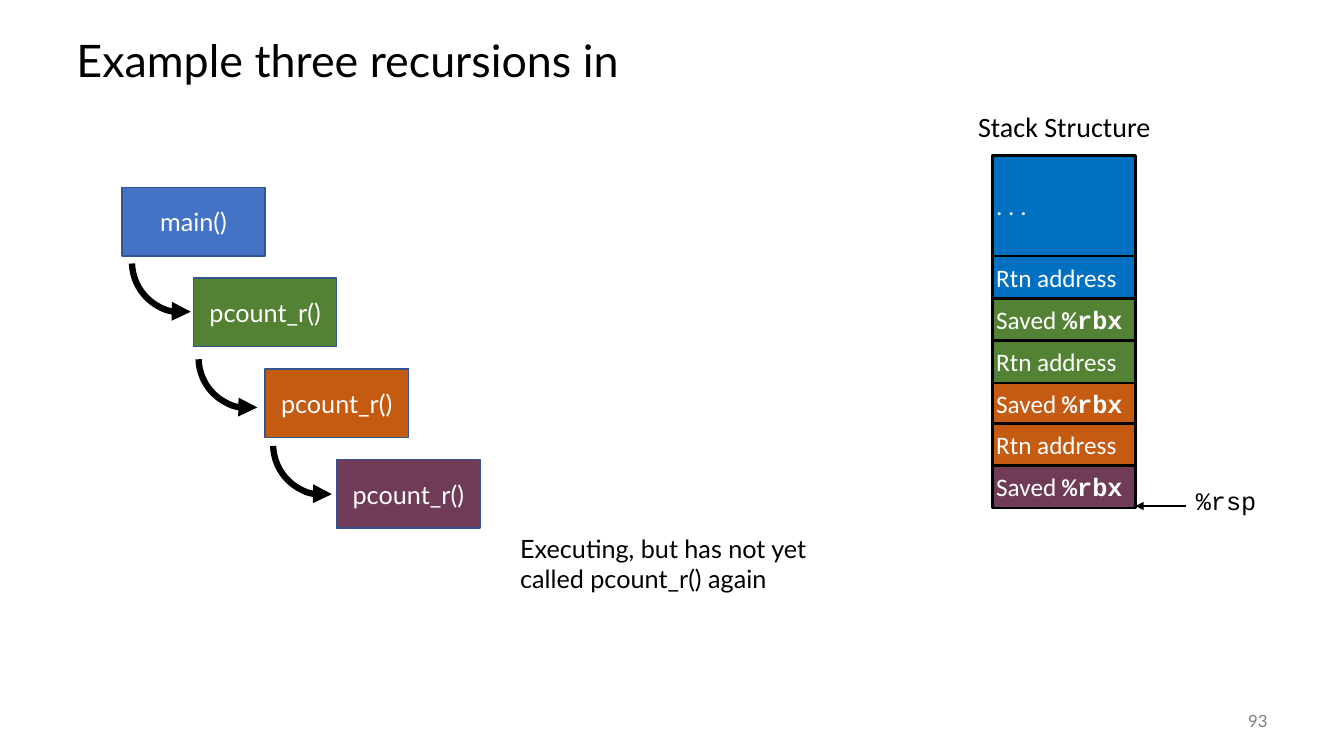
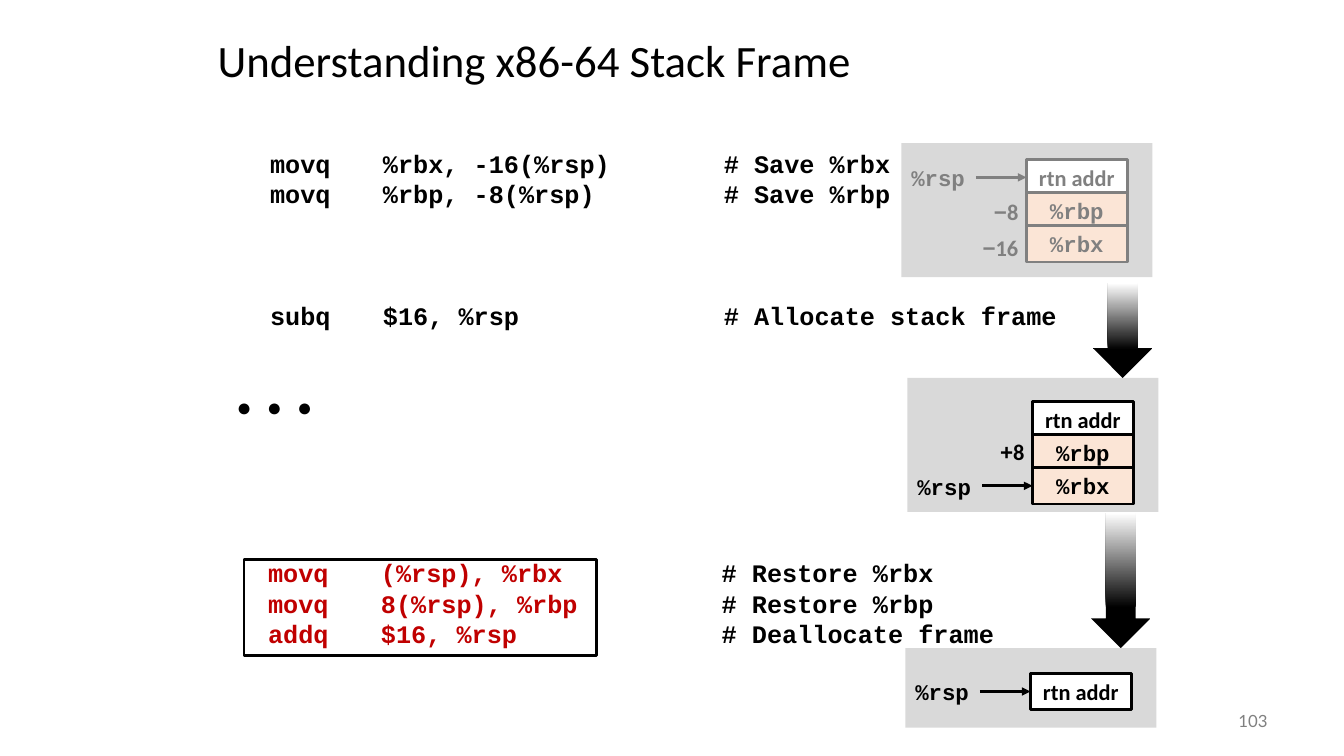
from dataclasses import dataclass

from lxml import etree
from pptx import Presentation
from pptx import util as u
from pptx.dml.color import RGBColor
from pptx.enum import shapes, text
from pptx.oxml import ns

PX = u.Inches(0.01)


@dataclass(frozen=True)
class Theme:
    black: str = "000000"
    white: str = "FFFFFF"
    gray: str = "808080"
    panel: str = "D9D9D9"
    peach: str = "FBE5D6"
    red: str = "C00000"
    main: str = "4472C4"
    edge: str = "325491"
    caller: str = "0070C0"
    green: str = "548235"
    orange: str = "C55A11"
    plum: str = "703B56"
    sans: str = "Lato"
    label: str = "Calibri"
    sign: str = "Arial"
    mono: str = "Courier New"
    title_size: int = 32
    heading_size: int = 20
    body_size: int = 18
    small_size: int = 16
    number_size: int = 12


@dataclass(frozen=True)
class Box:
    left: int
    top: int
    width: int
    height: int

    def at(self, left, top, width, height):
        return Box(self.left + left, self.top + top, width, height)

    def emu(self):
        return [value * PX for value in (self.left, self.top, self.width, self.height)]


THEME = Theme()
LEFT, CENTER, RIGHT = text.PP_ALIGN.LEFT, text.PP_ALIGN.CENTER, text.PP_ALIGN.RIGHT
TOP, MIDDLE = text.MSO_ANCHOR.TOP, text.MSO_ANCHOR.MIDDLE
BODY = dict(name=THEME.sans, size=u.Pt(THEME.body_size), bold=False, color=THEME.black)
TITLE = BODY | dict(size=u.Pt(THEME.title_size))
NUMBER = BODY | dict(size=u.Pt(THEME.number_size), color=THEME.gray)
HEADING = BODY | dict(name=THEME.label, size=u.Pt(THEME.heading_size))
STEP = BODY | dict(color=THEME.white)
STACK = STEP | dict(name=THEME.label)
REGISTER = STACK | dict(name=THEME.mono, bold=True)
POINTER = BODY | dict(name=THEME.mono)
CODE = POINTER | dict(bold=True)
RED_CODE = CODE | dict(color=THEME.red)
SMALL_CODE = CODE | dict(size=u.Pt(THEME.small_size))
SMALL_LABEL = SMALL_CODE | dict(name=THEME.label)
SMALL_SIGN = SMALL_CODE | dict(name=THEME.sign)
TIGHT = (4, 4, 4, 4)
CODE_LINE = 21.7
CODE_TABS = (50, 162, 500)


def set_values(target, values):
    for name, value in values.items():
        setattr(target, name, value)


def add_runs(paragraph, runs):
    for content, style in runs:
        run = paragraph.add_run()
        run.text = content
        set_values(run.font, {key: value for key, value in style.items() if key != "color"})
        run.font.color.rgb = RGBColor.from_string(style["color"])


def set_text(shape, runs, align=LEFT, anchor=TOP, insets=(10, 5, 10, 5), wrap=True):
    sides = ("margin_left", "margin_top", "margin_right", "margin_bottom")
    frame = shape.text_frame
    set_values(frame, dict(word_wrap=wrap, vertical_anchor=anchor))
    set_values(frame, {side: inset * PX for side, inset in zip(sides, insets)})
    paragraph = frame.paragraphs[0]
    paragraph.alignment = align
    add_runs(paragraph, runs)
    return paragraph


def add_label(slide, box, runs, **layout):
    shape = slide.shapes.add_textbox(*box.emu())
    set_text(shape, runs, **layout)
    return shape


def set_line(shape, color, width):
    shape.line.color.rgb = RGBColor.from_string(color)
    shape.line.width = u.Pt(width)


def add_block(slide, box, fill=None, line=None, width=2, kind=shapes.MSO_SHAPE.RECTANGLE):
    shape = slide.shapes.add_shape(kind, *box.emu())
    shape.shadow.inherit = False
    if fill:
        shape.fill.solid()
        shape.fill.fore_color.rgb = RGBColor.from_string(fill)
    else:
        shape.fill.background()
    if line:
        set_line(shape, line, width)
    else:
        shape.line.fill.background()
    return shape


def add_arrowhead(shape, end):
    outline = shape.element.spPr.find(ns.qn("a:ln"))
    etree.SubElement(outline, ns.qn("a:" + end), type="triangle")


def add_arrow(slide, start, finish, color):
    ends = [value * PX for value in (*start, *finish)]
    arrow = slide.shapes.add_connector(shapes.MSO_CONNECTOR.STRAIGHT, *ends)
    set_line(arrow, color, 2)
    add_arrowhead(arrow, "tailEnd")
    etree.SubElement(arrow.element.spPr, ns.qn("a:effectLst"))
    return arrow


def add_slide(presentation, title, title_box, title_font, number):
    slide = presentation.slides.add_slide(presentation.slide_layouts[6])
    heading = add_label(slide, title_box, [(title, TITLE | dict(name=title_font))], anchor=MIDDLE)
    heading.text_frame.paragraphs[0].line_spacing = 0.9
    add_label(slide, Box(1167, 695, 100, 40), [(number, NUMBER)], align=RIGHT, anchor=MIDDLE)
    return slide


def add_call_chain(slide, box):
    calls = (
        ("main()", THEME.main),
        ("pcount_r()", THEME.green),
        ("pcount_r()", THEME.orange),
        ("pcount_r()", THEME.plum),
    )
    for index, (name, color) in enumerate(calls):
        step = add_block(slide, box.at(71 * index, 90 * index, 142, 68), color, THEME.edge, 1)
        set_text(step, [(name, STEP)], align=CENTER, anchor=MIDDLE)
    for left, top in ((10, 24), (76, 119), (150, 205)):
        arc = add_block(slide, box.at(left, top, 100, 100), None, THEME.black, 4.5, shapes.MSO_SHAPE.ARC)
        arc.adjustments[0] = 48.295
        arc.adjustments[1] = 106.974
        add_arrowhead(arc, "headEnd")
    note = "Executing, but has not yet called pcount_r() again"
    add_label(slide, box.at(385, 338, 328, 71), [(note, BODY)])


def add_stack(slide, box):
    address = [("Rtn address", STACK)]
    saved = [("Saved ", STACK), ("%rbx", REGISTER)]
    entries = (
        ([(". . .", STACK)], THEME.caller, 100),
        (address, THEME.caller, 42),
        (saved, THEME.green, 42),
        (address, THEME.green, 42),
        (saved, THEME.orange, 40),
        (address, THEME.orange, 42),
        (saved, THEME.plum, 42),
    )
    add_label(slide, box.at(-18, -49, 185, 42), [("Stack Structure", HEADING)], insets=TIGHT, wrap=False)
    top = 0
    for runs, color, height in entries:
        cell = add_block(slide, box.at(0, top, box.width, height), color, THEME.black)
        set_text(cell, runs, anchor=MIDDLE, insets=TIGHT)
        top += height
    end = box.at(box.width, top - 2, 50, 0)
    add_arrow(slide, (end.left + end.width, end.top), (end.left, end.top), THEME.black)
    add_label(slide, end.at(56, -25, 69, 39), [("%rsp", POINTER)], insets=TIGHT, wrap=False)


def add_code(slide, box, lines):
    shape = slide.shapes.add_textbox(*box.emu())
    frame = shape.text_frame
    frame.word_wrap = True
    for index, (instruction, comment, style, skipped) in enumerate(lines):
        paragraph = frame.add_paragraph() if index else frame.paragraphs[0]
        properties = paragraph._p.get_or_add_pPr()
        tabs = etree.SubElement(properties, ns.qn("a:tabLst"))
        for position in CODE_TABS:
            etree.SubElement(tabs, ns.qn("a:tab"), pos=str(position * PX), algn="l")
        paragraph.line_spacing = u.Pt(CODE_LINE)
        if skipped:
            paragraph.space_before = u.Pt(CODE_LINE * skipped)
        add_runs(paragraph, [("\t" + instruction, style), ("\t" + comment, CODE)])


def add_frame(slide, box, top, cells, pointed, tags=(), color=THEME.black):
    add_block(slide, box, THEME.panel)
    tint = dict(color=color)
    for index, name in enumerate(cells):
        cell_box = box.at(124, top + 33 * index, 100, 36)
        register = name.startswith("%")
        cell = add_block(slide, cell_box, THEME.peach if register else THEME.white, color)
        style = SMALL_CODE if register else SMALL_LABEL
        set_text(cell, [(name, style | tint)], align=CENTER, anchor=MIDDLE, wrap=False)
        if index == pointed:
            label_box = Box(box.left, cell_box.top, 74, 36)
            label = add_label(slide, label_box, [("%rsp", SMALL_CODE | tint)], wrap=False)
            middle = cell_box.top + 18
            arrow = add_arrow(slide, (box.left + 74, middle), (cell_box.left, middle), color)
            arrow.begin_connect(label, 3)
            arrow.end_connect(cell, 1)
    for sign, digits, tag_top in tags:
        runs = [(sign, SMALL_SIGN | tint), (digits, SMALL_LABEL | tint)]
        add_label(slide, box.at(41, tag_top, 80, 37), runs, align=RIGHT, insets=(5, 5, 5, 5))


def add_fading_arrow(slide, box):
    arrow = add_block(slide, box, kind=shapes.MSO_SHAPE.DOWN_ARROW)
    arrow.fill.gradient()
    arrow.fill.gradient_angle = 90
    for stop, position, color in zip(arrow.fill.gradient_stops, (0.3, 1), (THEME.black, THEME.white)):
        stop.position = position
        stop.color.rgb = RGBColor.from_string(color)


def build_recursion_slide(presentation):
    slide = add_slide(presentation, "Example three recursions in", Box(66, 25, 1200, 75), THEME.sans, "93")
    add_stack(slide, Box(984, 154, 142, 350))
    add_call_chain(slide, Box(121, 186, 355, 338))


def build_frame_slide(presentation):
    title = "Understanding x86-64 Stack Frame"
    slide = add_slide(presentation, title, Box(206, 21, 830, 83), THEME.label, "103")
    add_code(slide, Box(208, 142, 942, 192), (
        ("movq\t%rbx, -16(%rsp)", "# Save %rbx", CODE, 0),
        ("movq\t%rbp, -8(%rsp)", "# Save %rbp", CODE, 0),
        ("subq\t$16, %rsp", "# Allocate stack frame", CODE, 3),
    ))
    add_code(slide, Box(206, 548, 942, 101), (
        ("movq\t(%rsp), %rbx", "# Restore %rbx", RED_CODE, 0),
        ("movq\t8(%rsp), %rbp", "# Restore %rbp", RED_CODE, 0),
        ("addq\t$16, %rsp", "# Deallocate frame", RED_CODE, 0),
    ))
    add_label(slide, Box(225, 383, 107, 40), [("● ● ●", CODE)], wrap=False)
    saved = ("rtn addr", "%rbp", "%rbx")
    add_frame(slide, Box(894, 142, 249, 133), 16, saved, 0, (("−", "8", 50), ("−", "16", 85)), THEME.gray)
    add_frame(slide, Box(900, 375, 249, 133), 23, saved, 2, (("+", "8", 55),))
    add_frame(slide, Box(898, 643, 249, 79), 25, saved[:1], 0)
    add_fading_arrow(slide, Box(1084, 281, 59, 94))
    add_fading_arrow(slide, Box(1082, 509, 59, 134))
    add_block(slide, Box(242, 555, 350, 95), None, THEME.black)


def main():
    presentation = Presentation()
    set_values(presentation, dict(slide_width=1333 * PX, slide_height=750 * PX))
    build_recursion_slide(presentation)
    build_frame_slide(presentation)
    presentation.save("out.pptx")


if __name__ == "__main__":
    main()
